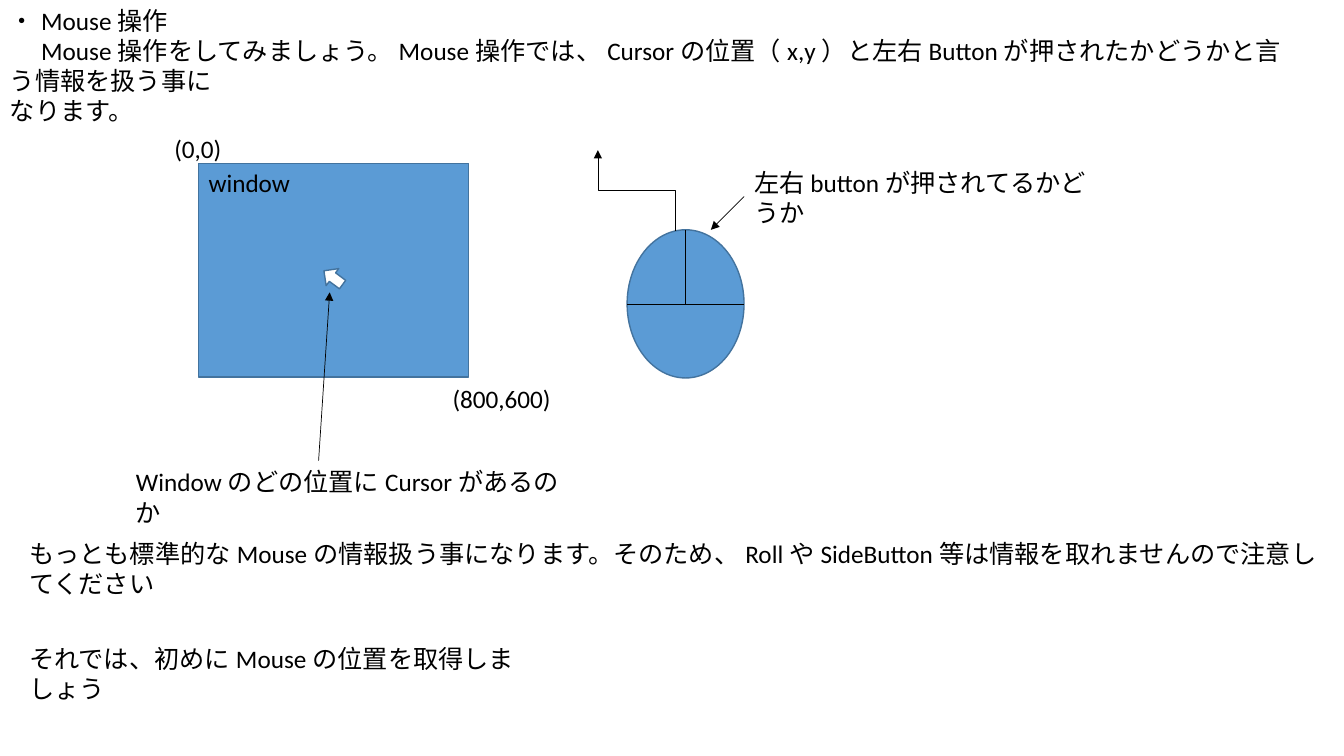
from dataclasses import dataclass

from pptx import Presentation
from pptx.dml.color import RGBColor as Rgb
from pptx.enum.shapes import MSO_CONNECTOR as Link, MSO_SHAPE as Form
from pptx.enum.text import MSO_AUTO_SIZE as Fit
from pptx.oxml.ns import qn
from pptx.util import Inches, Pt


@dataclass(frozen=True)
class Theme:
    ink: Rgb = Rgb(0, 0, 0)
    blue: Rgb = Rgb(0x5B, 0x9B, 0xD5)
    edge: Rgb = Rgb(0x43, 0x73, 0x9E)
    white: Rgb = Rgb(255, 255, 255)
    font: str = "Calibri"
    size: float = 18
    rim: float = 1
    thin: float = 0.5


class Page:
    def __init__(self, deck, theme):
        self.theme = theme
        self.slide = deck.slides.add_slide(deck.slide_layouts[6])

    def text(self, words, x, y, w, h=0.4, wrap=True):
        box = self.slide.shapes.add_textbox(*map(Inches, (x, y, w, h)))
        frame = box.text_frame
        frame.text = words
        frame.word_wrap = wrap
        frame.auto_size = Fit.SHAPE_TO_FIT_TEXT
        for para in frame.paragraphs:
            for run in para.runs:
                run.font.name = self.theme.font
                run.font.size = Pt(self.theme.size)
                run.font.color.rgb = self.theme.ink

    def shape(self, form, x, y, w, h, fill, turn=0):
        item = self.slide.shapes.add_shape(form, *map(Inches, (x, y, w, h)))
        item.shadow.inherit = False
        item.fill.solid()
        item.fill.fore_color.rgb = fill
        item.line.color.rgb = self.theme.edge
        item.line.width = Pt(self.theme.rim)
        item.rotation = turn

    def line(self, start, end, arrow=False, kind=Link.STRAIGHT):
        item = self.slide.shapes.add_connector(kind, *map(Inches, start + end))
        item.line.color.rgb = self.theme.ink
        item.line.width = Pt(self.theme.thin)
        props = item._element.spPr
        if arrow:
            tail = item.line._get_or_add_ln()
            tail.append(tail.makeelement(qn("a:tailEnd"), {"type": "triangle"}))
        props.append(props.makeelement(qn("a:effectLst"), {}))
        return item

    def cord(self, start, end):
        """Draw an elbow arrow that leaves upward, by a quarter turn about its middle."""
        mx, my = (start[0] + end[0]) / 2, (start[1] + end[1]) / 2
        dx, dy = (start[0] - end[0]) / 2, (start[1] - end[1]) / 2
        item = self.line((mx - dy, my + dx), (mx + dy, my - dx), True, Link.ELBOW)
        item._element.spPr.find(qn("a:xfrm")).set("rot", str(270 * 60000))


def main():
    deck = Presentation()
    deck.slide_width, deck.slide_height = Inches(13.33), Inches(7.5)
    theme = Theme()
    page = Page(deck, theme)

    page.text(
        "・Mouse操作\n"
        "　Mouse操作をしてみましょう。Mouse操作では、Cursorの位置（x,y）と"
        "左右Buttonが押されたかどうかと言う情報を扱う事に\n"
        "なります。", 0, 0, 13, 1.01)

    page.shape(Form.RECTANGLE, 1.97, 1.62, 2.68, 2.12, theme.blue)

    left, top, wide, high = 6.22, 2.28, 1.16, 1.47
    mid, half = left + wide / 2, top + high / 2
    page.shape(Form.OVAL, left, top, wide, high, theme.blue)
    page.line((mid, top), (mid, half))
    page.line((left, half), (left + wide, half))

    for words, x, y, w in (("window", 1.97, 1.61, 1.02),
                           ("(0,0)", 1.63, 1.27, 0.68),
                           ("(800,600)", 4.39, 3.75, 1.19)):
        page.text(words, x, y, w, wrap=False)

    page.shape(Form.DOWN_ARROW, 3.2, 2.64, 0.21, 0.23, theme.white, turn=126.5)
    page.line((3.16, 4.57), (3.27, 2.9), arrow=True)
    page.text("Windowのどの位置にCursorがあるのか", 1.25, 4.58, 4.42)
    page.line((7.38, 1.95), (7.05, 2.28), arrow=True)
    page.text("左右buttonが押されてるかどうか", 7.38, 1.61, 3.69)
    page.text("もっとも標準的なMouseの情報扱う事になります。そのため、"
              "RollやSideButton等は情報を取れませんので注意してください",
              0.19, 5.29, 12.99)
    page.cord((6.7, 2.29), (5.93, 1.49))
    page.text("それでは、初めにMouseの位置を取得しましょう", 0.19, 6.33, 5.23)

    deck.save("out.pptx")


if __name__ == "__main__":
    main()
